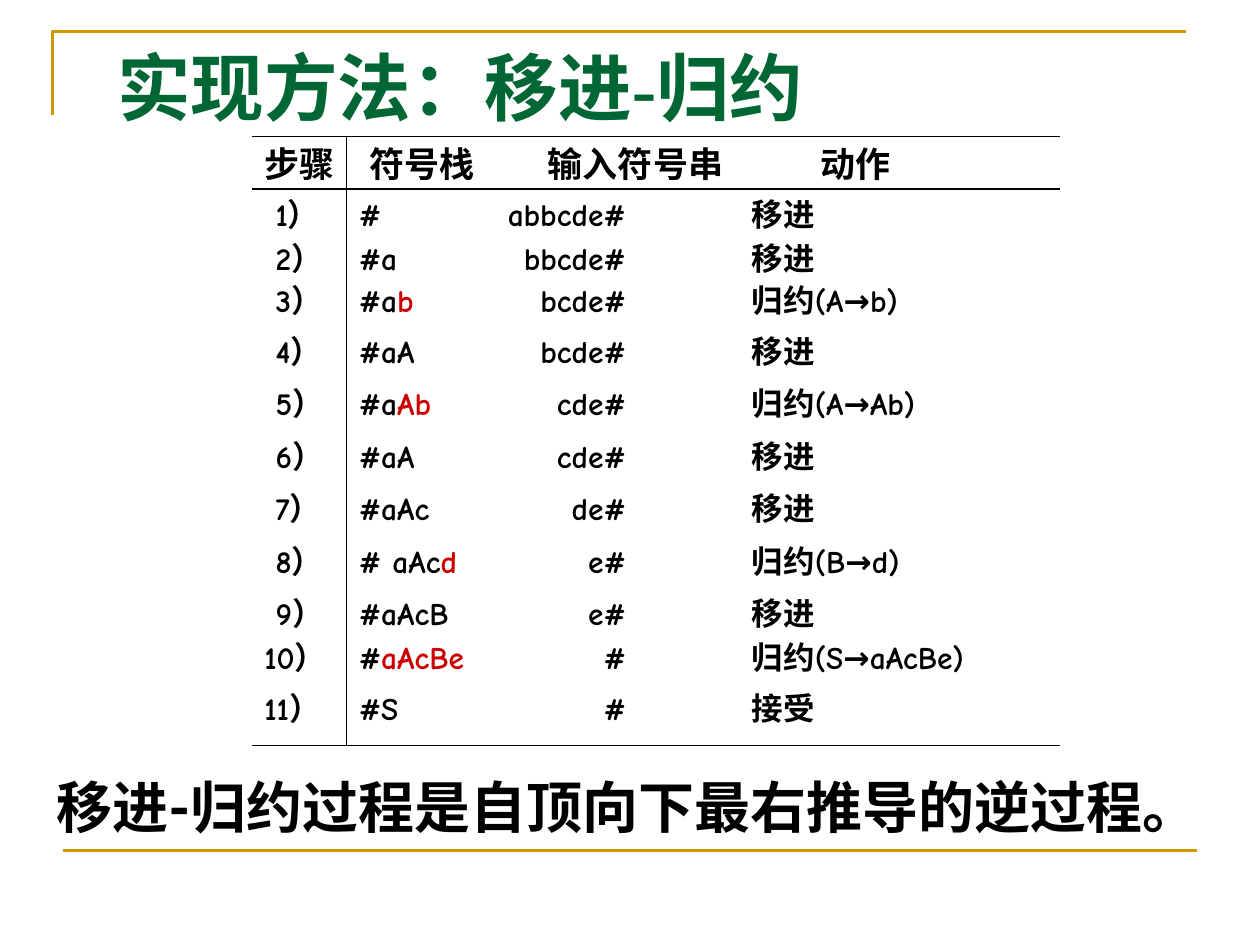
"""Build the shift-reduce parsing slide on a grid of 120 columns by 90 rows."""
from lxml.etree import SubElement
from pptx import Presentation
from pptx.dml.color import RGBColor
from pptx.enum.shapes import MSO_CONNECTOR
from pptx.enum.text import MSO_ANCHOR
from pptx.oxml.ns import qn
from pptx.util import Inches, Pt

BLACK = RGBColor(0x00, 0x00, 0x00)
RED = RGBColor(0xCC, 0x00, 0x00)
GREEN = RGBColor(0x00, 0x66, 0x33)
GOLD = RGBColor(0xCC, 0x99, 0x00)

deck = Presentation()
deck.slide_width, deck.slide_height = Inches(10), Inches(7.5)
page = deck.slides.add_slide(deck.slide_layouts[6])
CELL = deck.slide_width // 120


def add_text(spans, column, row, columns, rows, size, font="Arial", color=BLACK,
             anchor=MSO_ANCHOR.TOP, tabs=()):
    box = page.shapes.add_textbox(*(int(n * CELL) for n in (column, row, columns, rows)))
    frame = box.text_frame
    frame.word_wrap = True
    frame.vertical_anchor = anchor
    para = frame.paragraphs[0]
    for text, span_color in spans:
        span = para.add_run()
        span.text = text
        span.font.name, span.font.size, span.font.bold = font, Pt(size), True
        span.font.color.rgb = span_color or color
    if tabs:
        stops = SubElement(para._p.get_or_add_pPr(), qn("a:tabLst"))
        for position, alignment in tabs:
            SubElement(stops, qn("a:tab"), pos=str(Inches(position)), algn=alignment)


def add_rule(start_column, start_row, end_column, end_row, color=BLACK, width=0.75):
    ends = (int(n * CELL) for n in (start_column, start_row, end_column, end_row))
    rule = page.shapes.add_connector(MSO_CONNECTOR.STRAIGHT, *ends)
    rule.line.color.rgb, rule.line.width = color, Pt(width)
    SubElement(rule._element.spPr, qn("a:effectLst"))


outline = page.shapes.build_freeform(5, 11, scale=CELL)
outline.add_line_segments([(5, 3), (113, 3)], close=False)
corner = outline.convert_to_shape()
corner.shadow.inherit = False
corner.fill.background()
corner.line.color.rgb, corner.line.width = GOLD, Pt(1.5)
add_rule(6, 81, 114, 81, color=GOLD, width=1.5)

for row in (13, 18, 71):
    add_rule(24, row, 101, row)
add_rule(33, 13, 33, 71)

headings = [("步骤", 24, 10), ("符号栈", 34, 14), ("输入符号串", 51, 20), ("动作", 77, 10)]
for heading, column, columns in headings:
    add_text([(heading, BLACK)], column, 13, columns, 5.3, size=20)

steps = [
    (18, "#", "", "abbcde#", "移进"),
    (22.2, "#a", "", "bbcde#", "移进"),
    (26.2, "#a", "b", "bcde#", "归约(A→b)"),
    (31, "#aA", "", "bcde#", "移进"),
    (36, "#a", "Ab", "cde#", "归约(A→Ab)"),
    (41, "#aA", "", "cde#", "移进"),
    (46, "#aAc", "", "de#", "移进"),
    (51, "# aAc", "d", "e#", "归约(B→d)"),
    (56, "#aAcB", "", "e#", "移进"),
    (60.2, "#", "aAcBe", "#", "归约(S→aAcBe)"),
    (65, "#S", "", "#", "接受"),
]
step_tabs = [(0.75, "l"), (2.87, "r"), (3.87, "l")]
for number, (row, stack, handle, remaining, action) in enumerate(steps, start=1):
    spans = [(f"{number:>2}）\t{stack}", BLACK), (handle, RED),
             (f"\t{remaining}\t{action}", BLACK)]
    add_text([span for span in spans if span[0]], 24, row, 77, 4.8,
             size=18, font="Comic Neue", tabs=step_tabs)

add_text([("移进-归约过程是自顶向下最右推导的逆过程。", BLACK)], 4.2, 73, 113.4, 7.7,
         size=32, font="Roboto")
add_text([("实现方法：移进-归约", GREEN)], 10, 3.6, 104, 9.2, size=42,
         font="Times New Roman", anchor=MSO_ANCHOR.MIDDLE)

deck.save("out.pptx")
